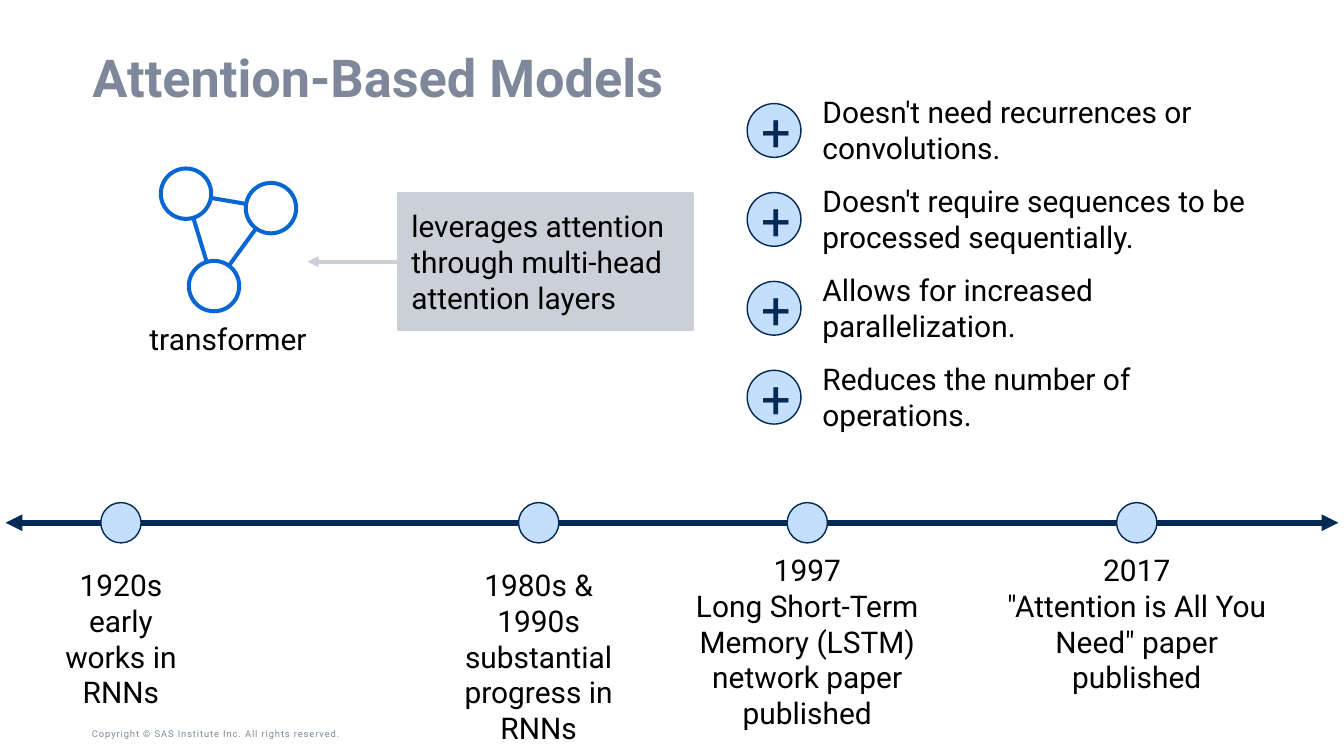
from lxml.etree import SubElement
from pptx import Presentation
from pptx.dml.color import RGBColor
from pptx.enum.shapes import MSO_CONNECTOR as Connector, MSO_SHAPE as Shape
from pptx.enum.text import MSO_ANCHOR as Anchor, PP_ALIGN as Align
from pptx.oxml.ns import qn
from pptx.util import Pt

FONT = "Roboto"
BLACK, WHITE = "000000", "FFFFFF"
NAVY, PALE_BLUE, BLUE = "032954", "C4DEFD", "0766D1"
SLATE, GREY = "7E889A", "CBCFD7"
BODY_SIZE = 32

BENEFITS = [
    "Doesn't need recurrences or convolutions.",
    "Doesn't require sequences to be processed sequentially.",
    "Allows for increased parallelization.",
    "Reduces the number of operations.",
]
# Centre, top and width of the label, then date and event
MILESTONES = [
    (129.6, 607, 154, "1920s", "early works in RNNs"),
    (577.2, 607, 208, "1980s & 1990s", "substantial progress in RNNs"),
    (865, 591, 306, "1997", "Long Short-Term Memory (LSTM) network paper published"),
    (1218, 591, 306, "2017", '"Attention is All You Need" paper published'),
]


def color(value):
    return RGBColor.from_string(value)


def write(shape, lines, size=BODY_SIZE, ink=BLACK, bold=False,
          align=Align.LEFT, anchor=Anchor.TOP, margins=(0, 0, 0, 0)):
    frame = shape.text_frame
    frame.word_wrap = True
    frame.vertical_anchor = anchor
    (frame.margin_left, frame.margin_top,
     frame.margin_right, frame.margin_bottom) = map(Pt, margins)
    frame.text = "\n".join(lines)
    for para in frame.paragraphs:
        para.alignment = align
        for span in para.runs:
            span.font.name = FONT
            span.font.size = Pt(size)
            span.font.bold = bold
            span.font.color.rgb = color(ink)
    return frame


def add_text(page, box, lines, **style):
    return write(page.shapes.add_textbox(*map(Pt, box)), lines, **style)


def add_preset(page, kind, box, fill, line, width):
    shape = page.shapes.add_shape(kind, *map(Pt, box))
    shape.shadow.inherit = False
    shape.fill.solid()
    shape.fill.fore_color.rgb = color(fill)
    shape.line.color.rgb = color(line)
    shape.line.width = Pt(width)
    return shape


def add_circle(page, center, diameter, fill, line, width):
    x, y = center
    box = (x - diameter / 2, y - diameter / 2, diameter, diameter)
    return add_preset(page, Shape.OVAL, box, fill, line, width)


def add_line(page, start, end, ink, width):
    line = page.shapes.add_connector(Connector.STRAIGHT, *map(Pt, start + end))
    line.line.color.rgb = color(ink)
    line.line.width = Pt(width)
    SubElement(line._element.spPr, qn("a:effectLst"))
    return line


def add_arrowheads(shape, *ends):
    outline = shape.line._get_or_add_ln()
    for end in ends:
        SubElement(outline, qn(f"a:{end}"), type="triangle")


def add_title(page, box):
    frame = add_text(page, box, ["Attention-Based Models"], size=56, ink=SLATE,
                     bold=True, anchor=Anchor.MIDDLE)
    frame.paragraphs[0].line_spacing = 0.9


def add_footer(page, box):
    frame = add_text(page, box,
                     ["Copyright © SAS Institute Inc. All rights reserved."],
                     size=10, ink=SLATE, anchor=Anchor.BOTTOM,
                     margins=(0, 3.6, 7.2, 3.6))
    frame.paragraphs[0].runs[0].font._element.set("spc", "100")


def add_timeline(page, box):
    left, top, width, height = box
    middle = top + height / 2
    axis = add_line(page, (left, middle), (left + width, middle), NAVY, 6)
    add_arrowheads(axis, "headEnd", "tailEnd")
    for center, label_top, label_width, date, event in MILESTONES:
        add_circle(page, (center, middle), height, PALE_BLUE, NAVY, 1.5)
        label = (center - label_width / 2, label_top, label_width, 155)
        add_text(page, label, [date, event], align=Align.CENTER)


def add_transformer(page, box):
    left, top, width, height = box
    # Three nodes joined in a triangle, with the caption below
    nodes = [(left + x, top + y) for x, y in [(56, 29), (147, 44.5), (86, 128)]]
    for index, node in enumerate(nodes):
        add_line(page, nodes[index - 1], node, BLUE, 4.3)
    for node in nodes:
        add_circle(page, node, 54, WHITE, BLUE, 4.3)
    add_text(page, (left, top + height - 39, width, 39), ["transformer"],
             align=Align.CENTER)


def add_callout(page, box):
    callout = add_preset(page, Shape.LINE_CALLOUT_1, box, GREY, GREY, 4)
    # Pointer start y, x and end y, x as shares of the box
    for index, share in enumerate([0.5, 0, 0.5, -0.31]):
        callout.adjustments[index] = share
    add_arrowheads(callout, "tailEnd")
    write(callout, ["leverages attention through multi-head attention layers"],
          anchor=Anchor.MIDDLE, margins=(13.7,) * 4)


def add_benefits(page, box):
    left, top, width, height = box
    row_height = 78
    pitch = (height - row_height) / (len(BENEFITS) - 1)
    for row, benefit in enumerate(BENEFITS):
        y = top + row * pitch
        badge = add_circle(page, (left + 28.8, y + row_height / 2), 57.6,
                           PALE_BLUE, NAVY, 1.5)
        write(badge, ["+"], size=56, ink=NAVY, align=Align.CENTER,
              anchor=Anchor.MIDDLE, margins=(7.2, 3.6, 7.2, 3.6))
        add_text(page, (left + 80.6, y, width - 80.6, row_height), [benefit])


def main():
    deck = Presentation()
    deck.slide_width, deck.slide_height = Pt(1440), Pt(810)
    page = deck.slides.add_slide(deck.slide_layouts[6])
    add_footer(page, (98.6, 776, 396, 19.4))
    add_timeline(page, (6, 538.5, 1428, 43.2))
    add_title(page, (99, 56, 1242, 61))
    add_transformer(page, (143.3, 178.5, 202.3, 204))
    add_callout(page, (427, 208, 314.6, 144.7))
    add_benefits(page, (800.6, 100.8, 566.6, 363.8))
    deck.save("out.pptx")


if __name__ == "__main__":
    main()
